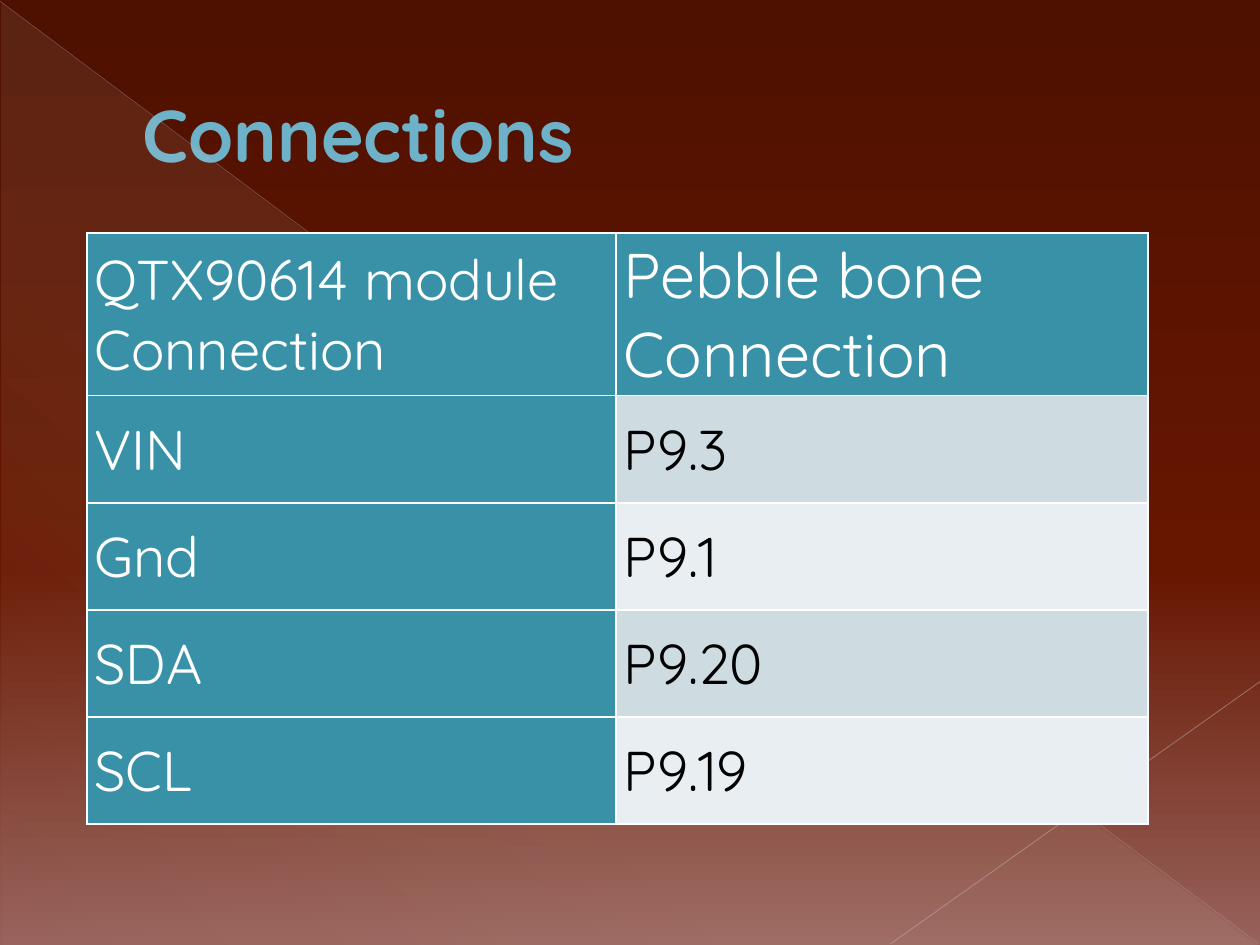
from dataclasses import dataclass

from lxml import etree
from pptx import Presentation
from pptx import util as u
from pptx.dml.color import RGBColor
from pptx.enum import shapes, text
from pptx.oxml.ns import qn


@dataclass(frozen=True)
class Theme:
    font: str = "Quicksand"
    title_size: float = 42
    lead_size: float = 36
    cell_size: float = 32
    title: str = "6EB2C9"
    accent: str = "3891A7"
    bands: tuple = ("CEDCE1", "E8EEF1")
    light: str = "FFFFFF"
    dark: str = "000000"
    backdrop: tuple = ((0, "4E1100", 100), (60, "671600", 100), (100, "97625B", 100))
    sheen: tuple = ((0, "E7DEC9", 10), (70, "E7DEC9", 8), (100, "E7DEC9", 1))


THEME = Theme()
WIDTH, HEIGHT = u.Inches(10), u.Inches(7.5)
TABLE_LEFT, TABLE_TOP = u.Inches(0.69), u.Inches(1.85)
COLUMN_WIDTHS = (u.Inches(4.2), u.Inches(4.22))
HEADER_HEIGHT, ROW_HEIGHT = u.Inches(1.28), u.Inches(0.85)
CONNECTIONS = (
    ("QTX90614 module Connection", "Pebble bone Connection"),
    ("VIN", "P9.3"),
    ("Gnd", "P9.1"),
    ("SDA", "P9.20"),
    ("SCL", "P9.19"),
)


def add_color(parent, color, opacity=100):
    rgb = etree.SubElement(parent, qn("a:srgbClr"), val=color)
    if opacity < 100:
        etree.SubElement(rgb, qn("a:alpha"), val=str(opacity * 1000))


def set_gradient(fill, owner, stops, angle):
    """Fill with (position, colour, opacity) stops; angle runs clockwise."""
    fill.gradient()
    gradient = owner.find(".//" + qn("a:gradFill"))
    stop_list = gradient.find(qn("a:gsLst"))
    for old_stop in list(stop_list):
        stop_list.remove(old_stop)
    for position, color, opacity in stops:
        stop = etree.SubElement(stop_list, qn("a:gs"), pos=str(position * 1000))
        add_color(stop, color, opacity)
    gradient.find(qn("a:lin")).set("ang", str(angle * 60000))


def write(frame, wording, *, size, color, bold=False, space_after=0):
    frame.text = wording
    frame.word_wrap = True
    paragraph = frame.paragraphs[0]
    paragraph.alignment = text.PP_ALIGN.LEFT
    paragraph.space_after = u.Pt(space_after)
    font = paragraph.runs[0].font
    font.name, font.size, font.bold = THEME.font, u.Pt(size), bold
    font.color.rgb = RGBColor.from_string(color)
    return paragraph


def add_sheen(slide):
    triangle = slide.shapes.add_shape(
        shapes.MSO_SHAPE.RIGHT_TRIANGLE,
        u.Inches(0.01), u.Inches(0.02), u.Inches(9.98), u.Inches(7.48))
    triangle.shadow.inherit = False
    triangle.line.fill.background()
    set_gradient(triangle.fill, triangle.element, THEME.sheen, 133)


def add_ray(slide, start, end, *, color, width, opacity):
    ends = [u.Inches(length) for length in (*start, *end)]
    ray = slide.shapes.add_connector(shapes.MSO_CONNECTOR.STRAIGHT, *ends)
    ray.line.width = u.Pt(width)
    ray.line.fill.solid()
    ray.line.color.rgb = RGBColor.from_string(color)
    rgb = ray.element.spPr.find(".//" + qn("a:srgbClr"))
    etree.SubElement(rgb, qn("a:alpha"), val=str(opacity * 1000))
    etree.SubElement(ray.element.spPr, qn("a:effectLst"))


def format_title(slide, wording):
    title = slide.shapes.title
    title.left, title.top = u.Inches(0.5), u.Inches(0.29)
    title.width, title.height = u.Inches(9), u.Inches(1.53)
    title.text_frame.vertical_anchor = text.MSO_ANCHOR.MIDDLE
    heading = write(title.text_frame, wording, size=THEME.title_size,
                    color=THEME.title, bold=True)
    properties = heading._p.get_or_add_pPr()
    properties.set("marL", str(u.Inches(0.53)))
    properties.set("indent", "0")


def add_borders(cell):
    properties = cell._tc.get_or_add_tcPr()
    for side in ("lnL", "lnR", "lnT", "lnB"):
        border = etree.SubElement(properties, qn("a:" + side), w=str(u.Pt(1)))
        add_color(etree.SubElement(border, qn("a:solidFill")), THEME.light)


def format_cell(cell, wording, *, fill, color, size):
    cell.margin_left = cell.margin_right = u.Inches(0.06)
    cell.margin_top = cell.margin_bottom = u.Inches(0.02)
    cell.vertical_anchor = text.MSO_ANCHOR.MIDDLE
    add_borders(cell)
    cell.fill.solid()
    cell.fill.fore_color.rgb = RGBColor.from_string(fill)
    write(cell.text_frame, wording, size=size, color=color, space_after=15.8)


def add_connection_table(slide, connections):
    heights = [HEADER_HEIGHT] + [ROW_HEIGHT] * (len(connections) - 1)
    table = slide.shapes.add_table(
        len(connections), len(COLUMN_WIDTHS), TABLE_LEFT, TABLE_TOP,
        sum(COLUMN_WIDTHS), sum(heights)).table
    for column, width in zip(table.columns, COLUMN_WIDTHS):
        column.width = width
    for row, height in zip(table.rows, heights):
        row.height = height
    for r, pair in enumerate(connections):
        for c, wording in enumerate(pair):
            is_pin = r > 0 and c > 0
            is_board_header = r == 0 and c > 0
            format_cell(
                table.cell(r, c), wording,
                fill=THEME.bands[(r - 1) % 2] if is_pin else THEME.accent,
                color=THEME.dark if is_pin else THEME.light,
                size=THEME.lead_size if is_board_header else THEME.cell_size)


def main():
    deck = Presentation()
    deck.slide_width, deck.slide_height = WIDTH, HEIGHT
    slide = deck.slides.add_slide(deck.slide_layouts[5])
    set_gradient(slide.background.fill, slide.element, THEME.backdrop, 90)
    add_sheen(slide)
    add_ray(slide, (0, 0.01), (9.99, 7.49), color="BDB3B2", width=0.39, opacity=35)
    add_ray(slide, (10, 5.41), (7.07, 7.49), color="C5BCBB", width=0.47, opacity=45)
    format_title(slide, "Connections")
    add_connection_table(slide, CONNECTIONS)
    deck.save("out.pptx")


if __name__ == "__main__":
    main()
